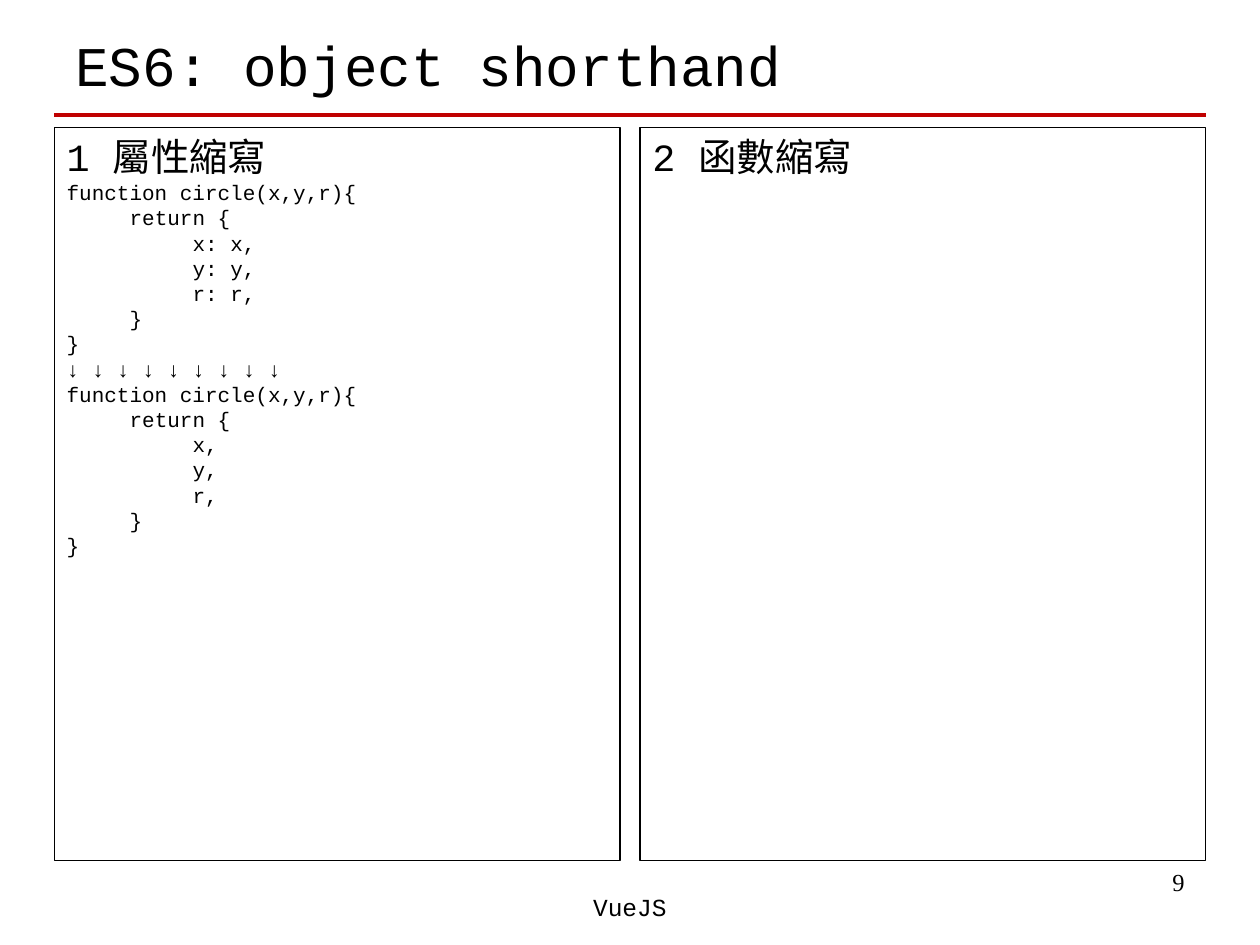
from pptx import Presentation
from pptx.dml.color import RGBColor
from pptx.enum.shapes import MSO_CONNECTOR, MSO_SHAPE
from pptx.enum.text import MSO_ANCHOR, PP_ALIGN
from pptx.oxml.ns import qn
from pptx.util import Inches, Pt
from lxml import etree

BLACK = RGBColor(0x00, 0x00, 0x00)
RED = RGBColor(0xC0, 0x00, 0x00)
MONO, SERIF = "Courier New", "Times New Roman"

WIDTH, HEIGHT = 10, 7.5
MARGIN, GAP = 0.43, 0.16
PANEL_WIDTH = (WIDTH - 2 * MARGIN - GAP) / 2
PANEL_TOP, PANEL_HEIGHT = 1.01, 5.82

HEADING = {"size": Pt(22), "name": MONO}
CODE = {"size": Pt(12), "name": MONO}

LONG_FORM = """function circle(x,y,r){
\treturn {
\t\tx: x,
\t\ty: y,
\t\tr: r,
\t}
}"""
SHORT_FORM = LONG_FORM.replace("x: x", "x").replace("y: y", "y").replace("r: r", "r")
ARROWS = " ".join("↓" * 9)


def write(shape, lines, align=PP_ALIGN.LEFT, anchor=MSO_ANCHOR.TOP):
    """Fill a shape with (text, format) lines, one paragraph each."""
    frame = shape.text_frame
    frame.word_wrap = True
    frame.vertical_anchor = anchor
    for index, (text, values) in enumerate(lines):
        para = frame.add_paragraph() if index else frame.paragraphs[0]
        para.alignment = align
        span = para.add_run()
        span.text = text
        span.font.color.rgb = BLACK
        for name, value in values.items():
            setattr(span.font, name, value)


def add_label(page, box, text, values, **layout):
    label = page.shapes.add_textbox(*map(Inches, box))
    write(label, [(text, values)], **layout)


def add_header(page, box):
    """Title with a red rule at the bottom of the box."""
    left, top, width, height = box
    inset = 0.07
    add_label(page, (left + inset, top, width - 2 * inset, height - 0.02),
              "ES6: object shorthand", {"size": Pt(32), "name": MONO},
              anchor=MSO_ANCHOR.MIDDLE)
    bottom = Inches(top + height)
    rule = page.shapes.add_connector(MSO_CONNECTOR.STRAIGHT, Inches(left), bottom,
                                     Inches(left + width), bottom)
    rule.line.color.rgb = RED
    rule.line.width = Pt(2.25)
    etree.SubElement(rule._element.spPr, qn("a:effectLst"))


def add_panel(page, box, heading, code=""):
    """Outlined panel with a heading and optional code."""
    panel = page.shapes.add_shape(MSO_SHAPE.RECTANGLE, *map(Inches, box))
    panel.shadow.inherit = False
    panel.fill.background()
    panel.line.color.rgb = BLACK
    panel.line.width = Pt(0.75)
    write(panel, [(heading, HEADING)] + [(line, CODE) for line in code.splitlines()])


def add_footer(page, box):
    """Page number at the right, deck name in the centre below it."""
    left, top, width, height = box
    add_label(page, (left + width - 2.4, top, 2.33, 0.52), "9",
              {"size": Pt(14), "name": SERIF}, align=PP_ALIGN.RIGHT)
    add_label(page, (left + (width - 3.17) / 2, top + 0.2, 3.17, 0.5), "VueJS",
              {"size": Pt(14), "name": MONO}, align=PP_ALIGN.CENTER)


def main():
    deck = Presentation()
    deck.slide_width, deck.slide_height = Inches(WIDTH), Inches(HEIGHT)
    page = deck.slides.add_slide(deck.slide_layouts[6])

    add_header(page, (MARGIN, 0.13, WIDTH - 2 * MARGIN, 0.78))

    panels = [
        ("1 屬性縮寫", "\n".join([LONG_FORM, ARROWS, SHORT_FORM])),
        ("2 函數縮寫", ""),
    ]
    for column, (heading, code) in enumerate(panels):
        left = MARGIN + column * (PANEL_WIDTH + GAP)
        add_panel(page, (left, PANEL_TOP, PANEL_WIDTH, PANEL_HEIGHT), heading, code)

    footer_top = PANEL_TOP + PANEL_HEIGHT
    add_footer(page, (MARGIN, footer_top, WIDTH - 2 * MARGIN, HEIGHT - footer_top))
    deck.save("out.pptx")


if __name__ == "__main__":
    main()
